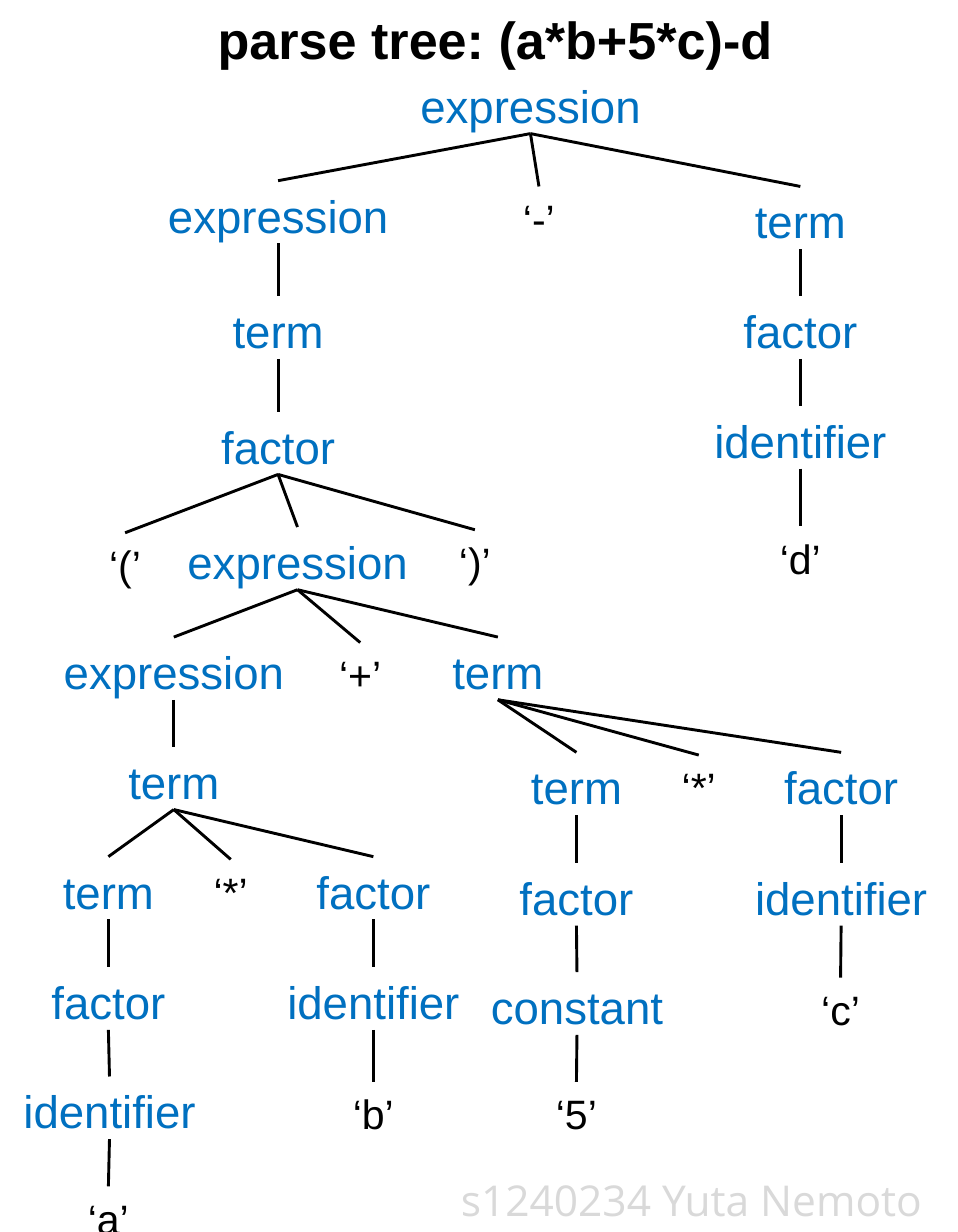
from dataclasses import dataclass

from lxml import etree
from pptx import Presentation
from pptx.dml.color import RGBColor
from pptx.enum.shapes import MSO_CONNECTOR
from pptx.enum.text import MSO_ANCHOR, MSO_AUTO_SIZE, PP_ALIGN
from pptx.oxml.ns import qn
from pptx.util import Cm, Pt


@dataclass(frozen=True)
class TextStyle:
    size: float
    color: RGBColor
    font: str = "Arial"
    bold: bool = False
    align: PP_ALIGN = PP_ALIGN.LEFT
    wrap: bool = True
    top_margin: float = 0.25


@dataclass(frozen=True)
class Theme:
    black = RGBColor(0x00, 0x00, 0x00)
    blue = RGBColor(0x00, 0x70, 0xC0)
    grey = RGBColor(0xD9, 0xD9, 0xD9)
    title = TextStyle(54, black, bold=True)
    symbol = TextStyle(47.2, blue, align=PP_ALIGN.CENTER, wrap=False)
    token = TextStyle(42.5, black, align=PP_ALIGN.CENTER, wrap=False)
    author = TextStyle(44, grey, font="Open Sans", top_margin=0)
    branch_width = 3


@dataclass(frozen=True)
class Node:
    """A parse tree node: label, centre x and top y in cm, and children."""
    label: str
    x: float
    y: float
    children: tuple["Node", ...] = ()

    @property
    def is_token(self) -> bool:
        return self.label.startswith("‘")

    @property
    def width(self) -> float:
        return LABEL_WIDTHS.get(self.label, 2.03)

    @property
    def height(self) -> float:
        return 2.08 if self.is_token else 2.29


THEME = Theme()
LABEL_WIDTHS = {
    "expression": 8.64, "term": 3.89, "factor": 4.72,
    "identifier": 6.88, "constant": 6.88,
    "‘-’": 1.7, "‘(’": 1.7, "‘)’": 1.7, "‘*’": 1.78,
}


def node(label: str, x: float, y: float, *children: Node) -> Node:
    return Node(label, x, y, children)


# The tree, built from its inner products outwards
product_ab = node(
    "term", 6.35, 27.28,
    node("term", 3.96, 31.29,
         node("factor", 3.96, 35.33,
              node("identifier", 4, 39.32, node("‘a’", 3.96, 43.33)))),
    node("‘*’", 8.43, 31.39),
    node("factor", 13.64, 31.29,
         node("identifier", 13.64, 35.33, node("‘b’", 13.64, 39.52))))

product_5c = node(
    "term", 18.19, 23.27,
    node("term", 21.06, 27.48,
         node("factor", 21.06, 31.52,
              node("constant", 21.08, 35.51, node("‘5’", 21.06, 39.52)))),
    node("‘*’", 25.53, 27.58),
    node("factor", 30.73, 27.48,
         node("identifier", 30.73, 31.52, node("‘c’", 30.71, 35.71))))

total = node(
    "expression", 10.87, 19.25,
    node("expression", 6.35, 23.27, product_ab),
    node("‘+’", 13.16, 23.47),
    product_5c)

bracketed = node(
    "factor", 10.16, 15.04,
    node("‘(’", 4.57, 19.46), total, node("‘)’", 17.35, 19.35))

subtrahend = node(
    "term", 29.24, 6.81,
    node("factor", 29.24, 10.82,
         node("identifier", 29.24, 14.83, node("‘d’", 29.24, 19.23))))

root = node(
    "expression", 19.38, 2.59,
    node("expression", 10.16, 6.6, node("term", 10.16, 10.82, bracketed)),
    node("‘-’", 19.69, 6.81),
    subtrahend)


def write(shape, text: str, style: TextStyle) -> None:
    frame = shape.text_frame
    frame.word_wrap = style.wrap
    frame.auto_size = MSO_AUTO_SIZE.NONE
    frame.vertical_anchor = MSO_ANCHOR.TOP
    frame.margin_left = frame.margin_right = Cm(0.25)
    frame.margin_top, frame.margin_bottom = Cm(style.top_margin), Cm(0)
    paragraph = frame.paragraphs[0]
    paragraph.alignment = style.align
    paragraph.line_spacing = 1.0
    paragraph.space_before = Pt(0)
    run = paragraph.add_run()
    run.text = text
    run.font.name = style.font
    run.font.size = Pt(style.size)
    run.font.bold = style.bold
    run.font.color.rgb = style.color


def draw_branch(slide, parent: Node, child: Node) -> None:
    line = slide.shapes.add_connector(
        MSO_CONNECTOR.STRAIGHT, Cm(parent.x), Cm(parent.y + parent.height),
        Cm(child.x), Cm(child.y))
    line.line.color.rgb = THEME.black
    line.line.width = Pt(THEME.branch_width)
    etree.SubElement(line._element.spPr, qn("a:effectLst"))


def draw_tree(slide, tree: Node) -> None:
    box = slide.shapes.add_textbox(
        Cm(tree.x - tree.width / 2), Cm(tree.y), Cm(tree.width), Cm(tree.height))
    write(box, tree.label, THEME.token if tree.is_token else THEME.symbol)
    for child in tree.children:
        draw_branch(slide, tree, child)
        draw_tree(slide, child)


presentation = Presentation()
presentation.slide_width, presentation.slide_height = Cm(35), Cm(45)
slide = presentation.slides.add_slide(presentation.slide_layouts[5])

# Title
title = slide.shapes.title
title.left, title.top, title.width, title.height = Cm(7.7), Cm(0), Cm(20.98), Cm(4.88)
write(title, "parse tree: (a*b+5*c)-d", THEME.title)

# Parse tree
draw_tree(slide, root)

# Author line
author = slide.shapes.add_textbox(Cm(16.59), Cm(42.88), Cm(18.26), Cm(2.12))
write(author, "s1240234 Yuta Nemoto", THEME.author)

presentation.save("out.pptx")
